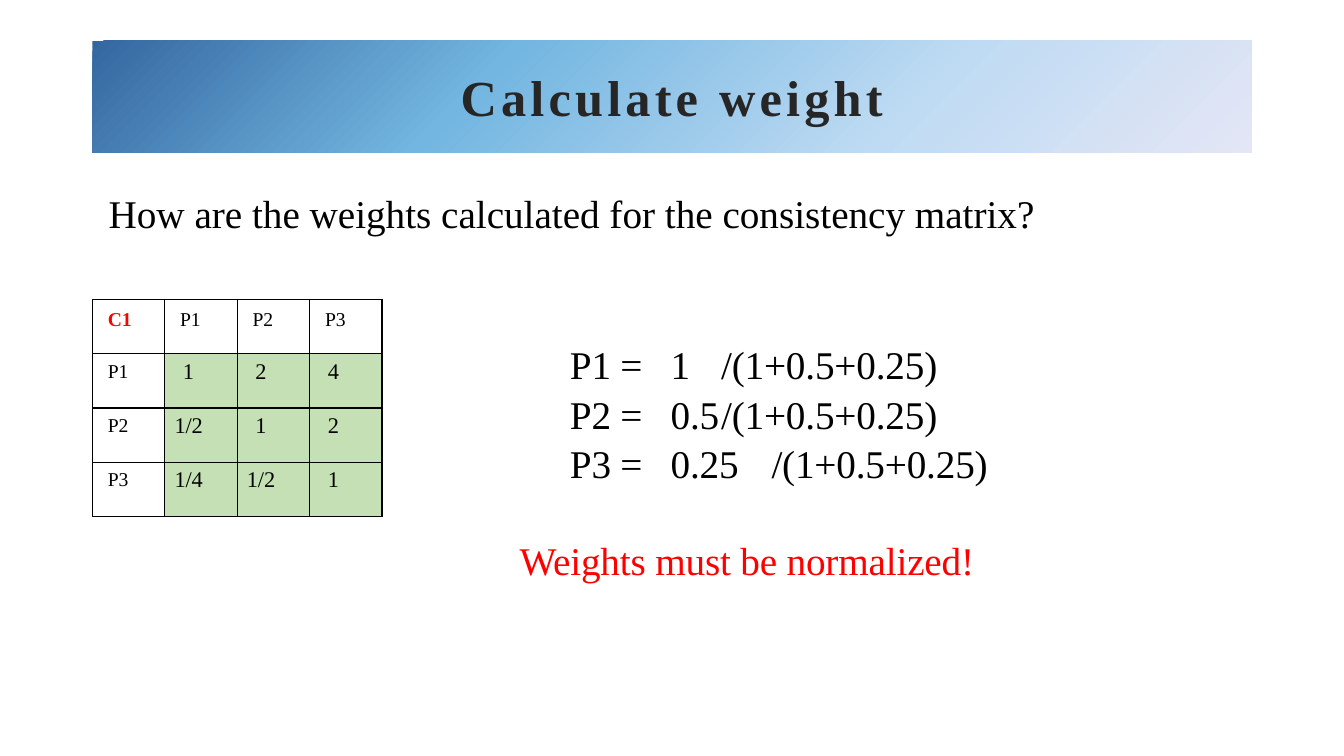
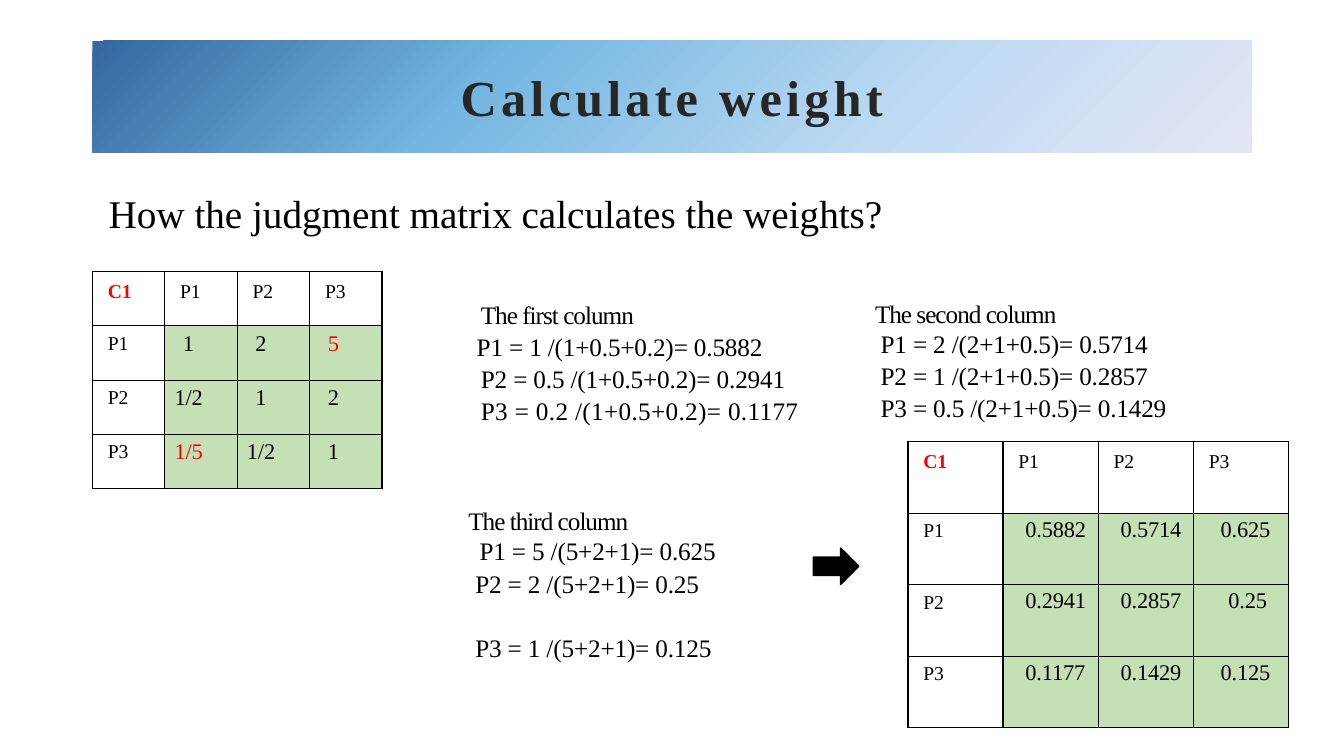
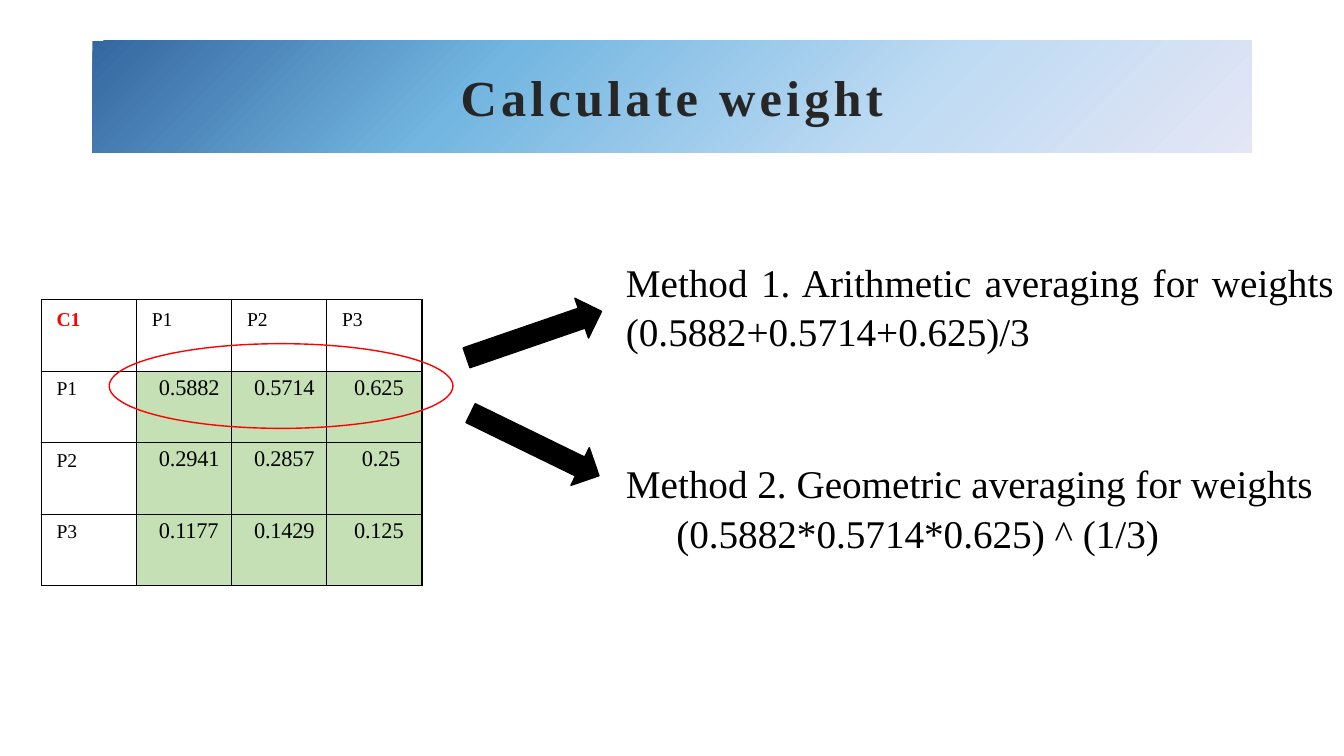
from dataclasses import dataclass

from pptx import Presentation
from pptx.dml.color import RGBColor
from pptx.enum.shapes import MSO_SHAPE
from pptx.enum.text import MSO_ANCHOR, MSO_AUTO_SIZE, PP_ALIGN
from pptx.oxml import parse_xml
from pptx.oxml.ns import nsdecls
from pptx.util import Pt


@dataclass(frozen=True)
class Theme:
    font: str = "Times New Roman"
    ink: str = "000000"
    title_ink: str = "262626"
    accent: str = "FF0000"
    cell: str = "C5E0B4"
    band: tuple = ((0, "3467A0"), (34, "73B6E1"), (70, "BFDBF3"), (100, "E4E6F5"))
    title_size: float = 36
    body_size: float = 28
    formula_size: float = 18
    value_size: float = 16
    label_size: float = 14


THEME = Theme()
TITLE_BOX = (66, 29, 828, 80)
LABELS = ("P1", "P2", "P3")
VALUE_INDENT = {1: 13, 3: 7, 4: 25, 5: 19.5, 6: 16}  # by length of the value
WEIGHTS = (
    ("0.5882", "0.5714", "0.625"),
    ("0.2941", "0.2857", "0.25"),
    ("0.1177", "0.1429", "0.125"),
)


def set_values(target, values):
    for name, value in values.items():
        setattr(target, name, value)


def points(values):
    return [Pt(value) for value in values]


class Deck:
    def __init__(self, theme):
        self.theme = theme
        self.presentation = Presentation()
        set_values(self.presentation, {"slide_width": Pt(960), "slide_height": Pt(540)})
        self.slide = None

    def add_slide(self, title):
        layout = self.presentation.slide_layouts[5]
        self.slide = self.presentation.slides.add_slide(layout)
        shape = self.slide.shapes.title
        set_values(shape, dict(zip(("left", "top", "width", "height"), points(TITLE_BOX))))
        stops = "".join(
            f'<a:gs pos="{position * 1000}"><a:srgbClr val="{color}"/></a:gs>'
            for position, color in self.theme.band
        )
        shape._element.spPr.append(parse_xml(
            f'<a:gradFill {nsdecls("a")} rotWithShape="1"><a:gsLst>{stops}</a:gsLst>'
            '<a:lin ang="2700000" scaled="0"/></a:gradFill>'
        ))
        frame = shape.text_frame
        set_values(frame, {"auto_size": MSO_AUTO_SIZE.NONE, "vertical_anchor": MSO_ANCHOR.MIDDLE})
        self.fill_paragraph(frame.paragraphs[0], title, size=self.theme.title_size, bold=True,
                            color=self.theme.title_ink, spacing=3, align=PP_ALIGN.CENTER)

    def fill_paragraph(self, paragraph, text, size, color=None, bold=False, spacing=0,
                       indent=0, tabs=(), align=PP_ALIGN.LEFT, line=None, before=0):
        """Set text and format; tabs and indent count from the left inside edge."""
        paragraph.text = text
        set_values(paragraph, {"alignment": align, "space_before": Pt(before)})
        if line:
            paragraph.line_spacing = line
        for run in paragraph.runs:
            set_values(run.font, {"name": self.theme.font, "size": Pt(size), "bold": bold})
            run.font.color.rgb = RGBColor.from_string(color or self.theme.ink)
            run._r.get_or_add_rPr().set("spc", str(round(spacing * 100)))
        properties = paragraph._p.get_or_add_pPr()
        properties.set("marL", "0")
        properties.set("indent", str(Pt(indent)))
        if tabs:
            stops = "".join(f'<a:tab pos="{Pt(tab)}" algn="l"/>' for tab in tabs)
            properties.append(parse_xml(f'<a:tabLst {nsdecls("a")}>{stops}</a:tabLst>'))

    def text(self, box, rows, margins=(7.2, 3.6), **defaults):
        """Add a text box; each row is its text and what differs from the defaults."""
        frame = self.slide.shapes.add_textbox(*points(box)).text_frame
        side, edge = points(margins)
        set_values(frame, {"word_wrap": True, "margin_left": side, "margin_right": side,
                           "margin_top": edge, "margin_bottom": edge})
        for number, (text, changes) in enumerate(rows):
            paragraph = frame.add_paragraph() if number else frame.paragraphs[0]
            self.fill_paragraph(paragraph, text, **{**defaults, **changes})

    def body(self, box, rows):
        self.text(box, rows, size=self.theme.body_size, line=1.05)

    def formulas(self, box, heading, rows):
        heading_text, indent = heading
        self.text(box, [(heading_text, {"indent": indent, "spacing": -0.7}), *rows],
                  margins=(0, 0), size=self.theme.formula_size, line=Pt(21.4), spacing=-0.1)

    def matrix(self, box, values, value_top, accents=()):
        """Add a comparison table with label row and column around the values."""
        theme = self.theme
        grid = [("C1", *LABELS), *((label, *row) for label, row in zip(LABELS, values))]
        count = len(grid)
        table = self.slide.shapes.add_table(count, count, *points(box)).table
        set_values(table, {"first_row": False, "horz_banding": False})
        for index in range(count):
            table.columns[index].width = Pt(box[2] / count)
            table.rows[index].height = Pt(box[3] / count)
        for row, texts in enumerate(grid):
            for column, text in enumerate(texts):
                is_value = row > 0 and column > 0
                is_corner = row == column == 0
                cell = table.cell(row, column)
                self.border(cell)
                if is_value:
                    cell.fill.solid()
                    cell.fill.fore_color.rgb = RGBColor.from_string(theme.cell)
                    left, top = VALUE_INDENT[len(text)], value_top
                else:
                    cell.fill.background()
                    left, top = 11, 5 if row else 7
                set_values(cell, {"margin_left": Pt(left), "margin_top": Pt(top),
                                  "margin_right": 0, "margin_bottom": 0})
                self.fill_paragraph(
                    cell.text_frame.paragraphs[0], text, bold=is_corner, spacing=-0.1,
                    size=theme.value_size if is_value else theme.label_size,
                    color=theme.accent if is_corner or text in accents else theme.ink)

    def border(self, cell):
        properties = cell._tc.get_or_add_tcPr()
        for side in "LRTB":
            properties.append(parse_xml(
                f'<a:ln{side} {nsdecls("a")} w="{Pt(1)}"><a:solidFill>'
                f'<a:srgbClr val="{self.theme.ink}"/></a:solidFill></a:ln{side}>'
            ))

    def outline(self, kind, box, color):
        shape = self.slide.shapes.add_shape(kind, *points(box))
        shape.shadow.inherit = False
        shape.fill.background()
        shape.line.color.rgb = RGBColor.from_string(color)
        shape.line.width = Pt(1)
        return shape

    def arrow(self, box, rotation=0):
        shape = self.outline(MSO_SHAPE.RIGHT_ARROW, box, self.theme.ink)
        shape.fill.solid()
        shape.fill.fore_color.rgb = RGBColor.from_string(self.theme.ink)
        shape.rotation = rotation

    def ring(self, box):
        self.outline(MSO_SHAPE.OVAL, box, self.theme.accent)


def consistency_slide(deck):
    deck.add_slide("Calculate weight")
    deck.matrix((66, 214, 207, 155),
                (("1", "2", "4"), ("1/2", "1", "2"), ("1/4", "1/2", "1")), value_top=4)
    deck.body((34.5, 130, 846, 41),
              [("How are the weights calculated for the consistency matrix?", {"indent": 36})])
    shares = (
        ("1", (35, 88, 152, 192)),
        ("0.5", (69, 113, 143, 192)),
        ("0.25", (61, 102, 131, 192)),
    )
    rows = [(f"\t{label}\t=\t{share}\t/(1+0.5+0.25)", {"tabs": tabs, "spacing": -0.1})
            for label, (share, tabs) in zip(LABELS, shares)]
    rows.append(("Weights must be normalized!",
                 {"color": THEME.accent, "spacing": -0.1, "before": 33.7}))
    deck.body((364, 238, 361, 177), rows)


def judgment_slide(deck):
    deck.add_slide("Calculate weight")
    deck.matrix((66, 194, 207, 155),
                (("1", "2", "5"), ("1/2", "1", "2"), ("1/5", "1/2", "1")),
                value_top=4, accents=("5", "1/5"))
    deck.body((34.5, 130, 639, 41),
              [("How the judgment matrix calculates the weights?", {"indent": 36})])
    deck.formulas((304.5, 214, 291, 91), ("The first column", 39), [
        ("P1 = 1 /(1+0.5+0.2)= 0.5882", {"indent": 36, "before": 1.5}),
        ("P2 = 0.5 /(1+0.5+0.2)= 0.2941", {"indent": 39, "before": 1.5}),
        ("P3 = 0.2 /(1+0.5+0.2)= 0.1177", {"indent": 39, "before": 1.5, "spacing": 0.25}),
    ])
    deck.formulas((601, 213.5, 253, 91), ("The second column", 24), [
        ("P1 = 2 /(2+1+0.5)= 0.5714", {"indent": 28}),
        ("P2 = 1 /(2+1+0.5)= 0.2857", {"indent": 28, "before": 1.5}),
        ("P3 = 0.5 /(2+1+0.5)= 0.1429", {"indent": 28, "before": 1.5}),
    ])
    deck.formulas((296.5, 361.5, 223, 113), ("The third column", 38), [
        ("P1 = 5 /(5+2+1)= 0.625", {"indent": 46}),
        ("P2 = 2 /(5+2+1)= 0.25", {"indent": 43, "before": 1.5}),
        ("P3 = 1 /(5+2+1)= 0.125", {"indent": 43, "before": 24.4}),
    ])
    deck.arrow((581, 391.5, 32.5, 26))
    deck.matrix((648.5, 315.5, 272, 204.5), WEIGHTS, value_top=3)


def averaging_slide(deck):
    deck.add_slide("Calculate weight")
    deck.matrix((29.5, 214, 272, 204.5), WEIGHTS, value_top=3)
    deck.arrow((330.5, 224, 102, 30), rotation=341)
    deck.arrow((331, 302.5, 102, 30), rotation=26)
    deck.body((404, 179, 556, 75), [
        ("Method 1. Arithmetic averaging for weights\v\t(0.5882+0.5714+0.625)/3",
         {"indent": 36, "tabs": (63,), "align": PP_ALIGN.JUSTIFY}),
    ])
    deck.body((404, 323, 556, 75), [
        ("Method 2. Geometric averaging for weights", {"indent": 36}),
        ("(0.5882*0.5714*0.625) ^ (1/3)", {"indent": 72}),
    ])
    deck.ring((78, 245.5, 245.5, 60.5))


def main():
    deck = Deck(THEME)
    for build in (consistency_slide, judgment_slide, averaging_slide):
        build(deck)
    deck.presentation.save("out.pptx")


if __name__ == "__main__":
    main()
